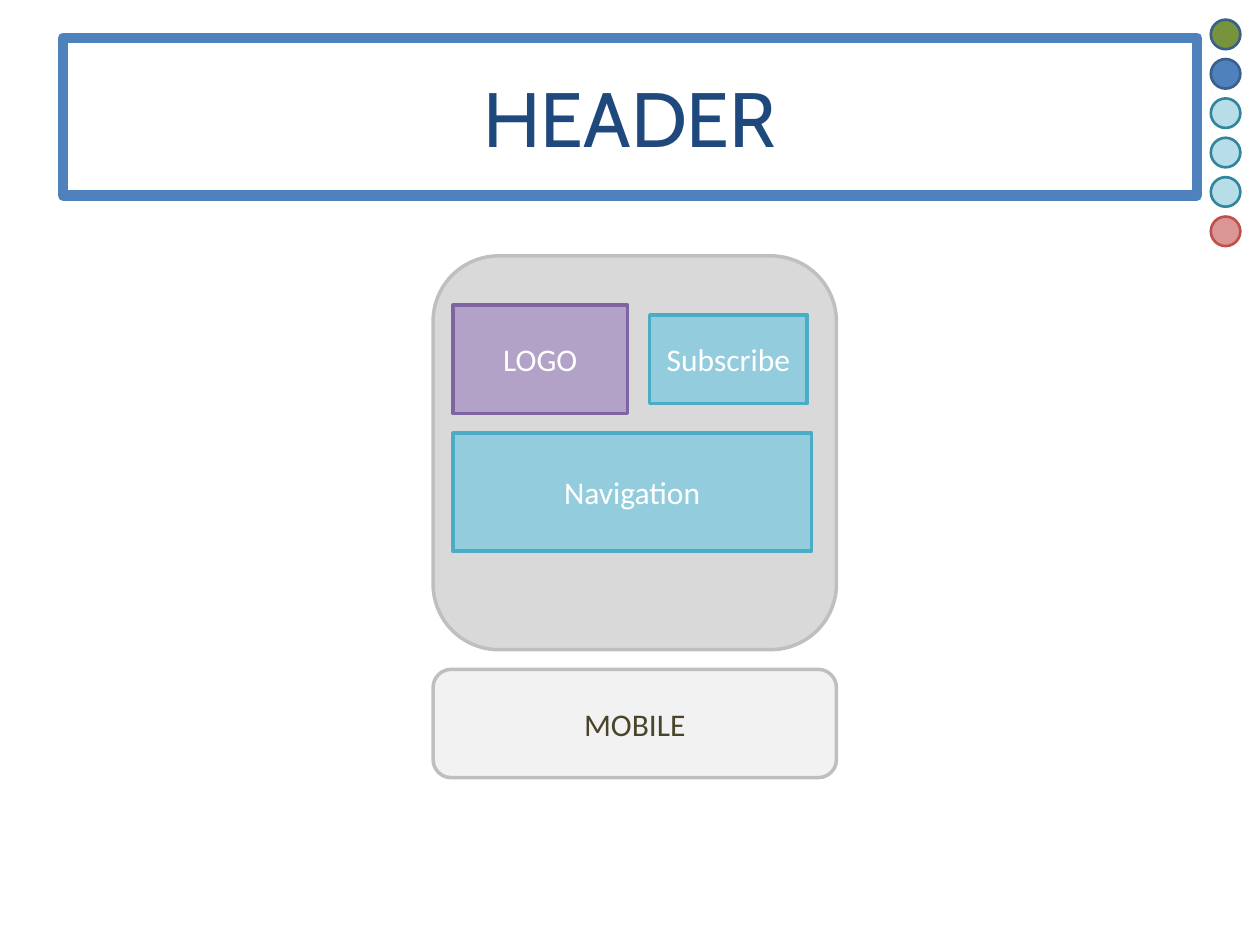
from pptx import Presentation
from pptx import util as u
from pptx.dml.color import RGBColor
from pptx.enum import shapes, text

RECTANGLE = shapes.MSO_SHAPE.RECTANGLE
ROUNDED = shapes.MSO_SHAPE.ROUNDED_RECTANGLE
OVAL = shapes.MSO_SHAPE.OVAL

PANEL_LEFT, PANEL_WIDTH = 247.5, 230.5
CONTENT_LEFT = 258.75
DOT_LEFT, DOT_TOP, DOT_SIZE, DOT_STEP = 691.9, 11.25, 16.9, 22.5
DOT_COLORS = [
    ("77933C", "3A5F8C"),
    ("4F81BD", "3A5F8C"),
    *[("B7DEE8", "31859C")] * 3,
    ("D99694", "C0504D"),
]


def paint(color_format, color):
    color_format.rgb = RGBColor.from_string(color)


def add_box(slide, kind, bounds, fill, line, line_width=2):
    shape = slide.shapes.add_shape(kind, *(u.Pt(length) for length in bounds))
    shape.shadow.inherit = False
    shape.fill.solid()
    paint(shape.fill.fore_color, fill)
    paint(shape.line.color, line)
    shape.line.width = u.Pt(line_width)
    return shape


def add_label(shape, label, color="FFFFFF", size=18, font="Calibri"):
    frame = shape.text_frame
    frame.text = label
    frame.vertical_anchor = text.MSO_ANCHOR.MIDDLE
    paragraph = frame.paragraphs[0]
    paragraph.alignment = text.PP_ALIGN.CENTER
    run = paragraph.runs[0]
    run.font.name = font
    run.font.size = u.Pt(size)
    paint(run.font.color, color)


def add_header(slide):
    header = add_box(slide, RECTANGLE, (36, 21.6, 648, 90), "FFFFFF", "4F81BD", 6)
    add_label(header, "HEADER", "1F497D", 44, "Cabin")


def add_mobile_layout(slide):
    add_box(slide, ROUNDED, (PANEL_LEFT, 146.25, PANEL_WIDTH, 225), "D9D9D9", "BFBFBF")
    blocks = [
        ("LOGO", (CONTENT_LEFT, 174.4, 100, 61.9), "B3A2C7", "8064A2"),
        ("Subscribe", (371.25, 180, 90, 50.6), "93CDDD", "4BACC6"),
        ("Navigation", (CONTENT_LEFT, 247.5, 205, 67.5), "93CDDD", "4BACC6"),
    ]
    for label, bounds, fill, line in blocks:
        add_label(add_box(slide, RECTANGLE, bounds, fill, line), label)
    caption = add_box(slide, ROUNDED, (PANEL_LEFT, 382.5, PANEL_WIDTH, 61.9), "F2F2F2", "BFBFBF")
    add_label(caption, "MOBILE", "4A452A")


def add_dots(slide):
    for index, (fill, line) in enumerate(DOT_COLORS):
        bounds = (DOT_LEFT, DOT_TOP + index * DOT_STEP, DOT_SIZE, DOT_SIZE)
        add_box(slide, OVAL, bounds, fill, line, 1.5)


def main():
    presentation = Presentation()
    presentation.slide_width = u.Pt(720)
    presentation.slide_height = u.Pt(540)
    slide = presentation.slides.add_slide(presentation.slide_layouts[6])
    add_header(slide)
    add_mobile_layout(slide)
    add_dots(slide)
    presentation.save("out.pptx")


if __name__ == "__main__":
    main()
